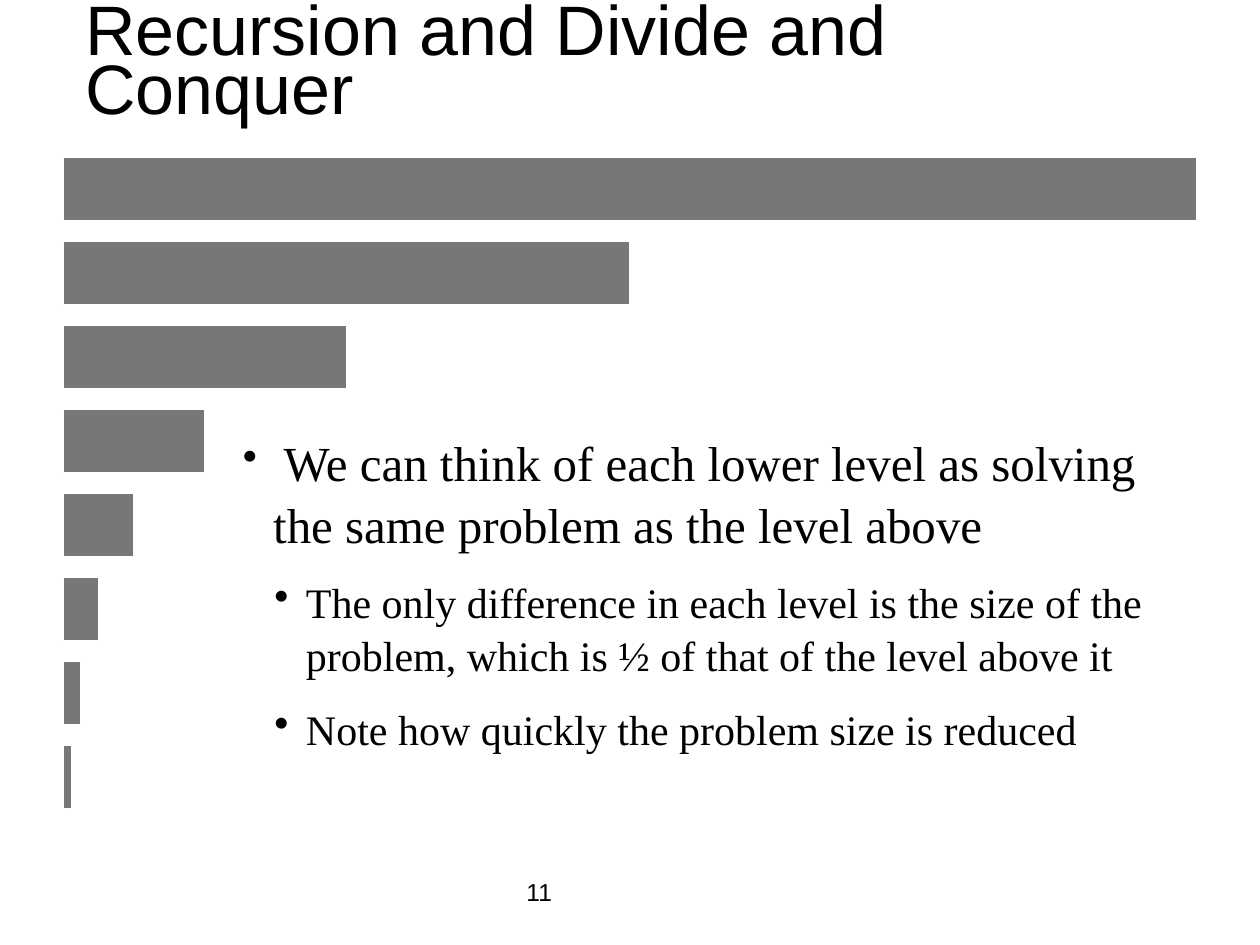
from lxml import etree
from pptx import Presentation
from pptx.dml.color import RGBColor
from pptx.enum.shapes import MSO_SHAPE
from pptx.enum.text import MSO_ANCHOR
from pptx.oxml.ns import qn
from pptx.util import Inches, Pt

RECT = MSO_SHAPE.RECTANGLE
MIDDLE = MSO_ANCHOR.MIDDLE


def paint(color, code):
    color.rgb = RGBColor.from_string(code)


def set_font(item, name, size):
    item.font.name = name
    item.font.size = Pt(size)
    paint(item.font.color, "000000")


deck = Presentation()
deck.slide_width = Inches(10)
deck.slide_height = Inches(7.5)
slide = deck.slides.add_slide(deck.slide_layouts[6])
shapes = slide.shapes

# Title and page number
labels = [
    ("Recursion and Divide and Conquer", (0.58, 0.37, 8.83, 0.33), 40, 0.7, True),
    ("11", (4.08, 6.83, 2.08, 0.5), 14, 1, False),
]
for text, place, size, pitch, wrap in labels:
    frame = shapes.add_textbox(*map(Inches, place)).text_frame
    frame.word_wrap = wrap
    frame.vertical_anchor = MIDDLE
    para = frame.paragraphs[0]
    para.text = text
    para.line_spacing = pitch
    set_font(para, "Arial", size)

# Bars: each level is half as wide as the one above
left, top, full, high = 0.5, 1.25, 9, 0.5
step = high * 4 / 3
for row in range(8):
    bar = shapes.add_shape(RECT, Inches(left), Inches(top + row * step),
                           Inches(full / 2 ** row), Inches(high))
    bar.shadow.inherit = False
    bar.fill.solid()
    paint(bar.fill.fore_color, "777777")
    paint(bar.line.color, "FFFFFF")
    bar.line.width = Pt(0.75)

# Bulleted text: level, size, margin, hanging indent, wording
points = [
    (0, 28, 0.24, 0.24, "We can think of each lower level as solving "
     "the same problem as the level above"),
    (1, 24, 0.5, 0.25, "The only difference in each level is the size of the "
     "problem, which is ½ of that of the level above it"),
    (1, 24, 0.5, 0.25, "Note how quickly the problem size is reduced"),
]
frame = shapes.add_textbox(*map(Inches, (1.83, 3.36, 7.67, 2.66))).text_frame
frame.word_wrap = True
for i, (level, size, margin, hang, text) in enumerate(points):
    para = frame.add_paragraph() if i else frame.paragraphs[0]
    para.level = level
    props = para._p.get_or_add_pPr()
    props.set("marL", str(Inches(margin)))
    props.set("indent", str(-Inches(hang)))
    etree.SubElement(props, qn("a:buChar")).set("char", "•")
    para.line_spacing = 1.05
    if i:
        para.space_before = Pt(12)
    else:
        # A smaller lead space sets the size of the first bullet
        lead = para.add_run()
        lead.text = " "
        set_font(lead, "Times New Roman", 24)
    run = para.add_run()
    run.text = text
    set_font(run, "Times New Roman", size)

deck.save("out.pptx")
